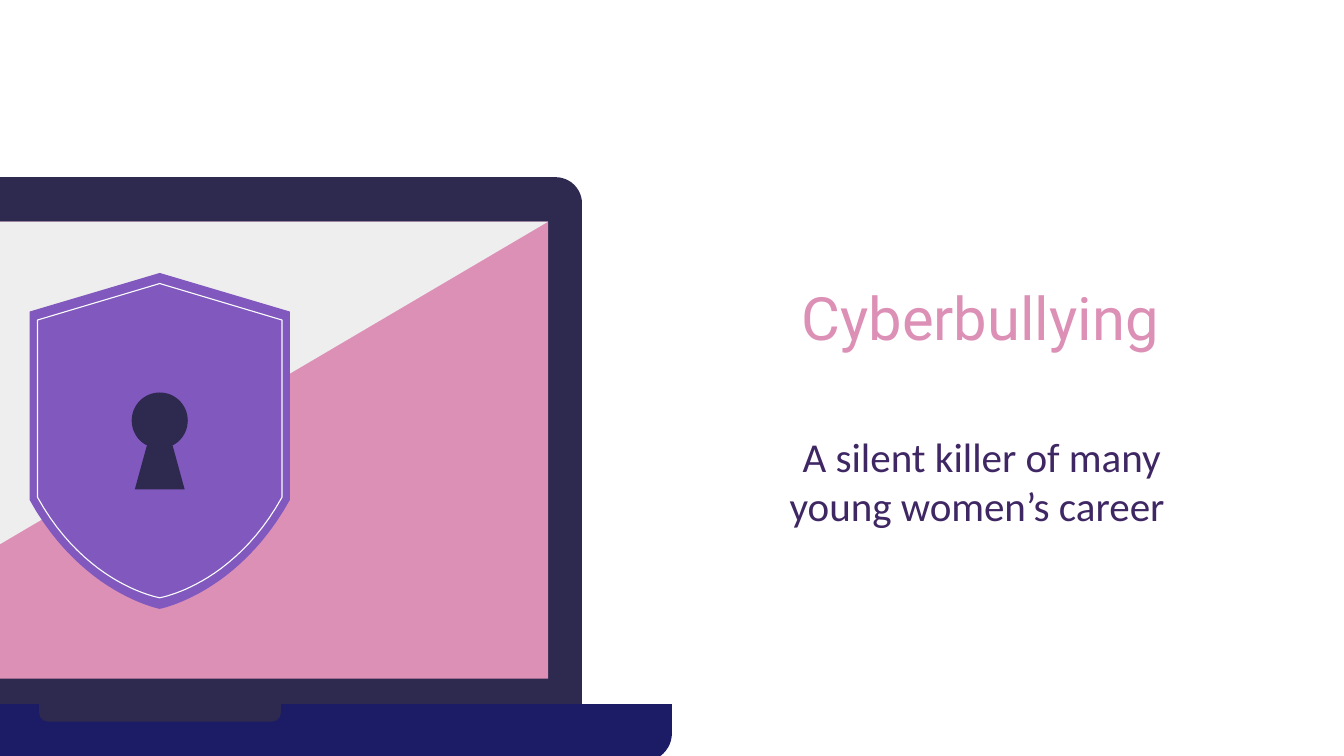
from math import cos, radians, sin

from pptx import Presentation
from pptx.dml.color import RGBColor
from pptx.enum.shapes import MSO_SHAPE
from pptx.enum.text import MSO_ANCHOR, PP_ALIGN
from pptx.util import Cm, Pt

COLORS = {
    "pink": "DD90B6",
    "plum": "3F2764",
    "dark": "2E294E",
    "navy": "1C1C66",
    "light": "EEEEEE",
    "violet": "8058BE",
    "outline": "FCFCFC",
}

TEXTS = [
    ("Cyberbullying", (11.43, 4.95, 14.2, 1.96), MSO_ANCHOR.BOTTOM, "Roboto", 32, "pink"),
    ("A silent killer of many young women’s career ", (14.02, 7.9, 9.07, 3.58),
     MSO_ANCHOR.TOP, "Calibri", 22, "plum"),
]

LID = (-4.95, 3.35, 15.95, 9.96)
SCREEN = (-4.32, 4.19, 14.68, 8.64)
BASE = (-6.65, 13.31, 19.35, 1.09)
NOTCH = (0.74, 13.31, 4.57, 0.33)
LAPTOP = [
    (MSO_SHAPE.ROUND_2_SAME_RECTANGLE, LID, (0.05, 0), "dark"),
    (MSO_SHAPE.RECTANGLE, SCREEN, (), "pink"),
    (MSO_SHAPE.ROUND_2_SAME_RECTANGLE, BASE, (0, 0.5), "navy"),
    (MSO_SHAPE.ROUND_2_SAME_RECTANGLE, NOTCH, (0, 0.5), "dark"),
]

AXIS = 3.02
SHIELD = dict(half=2.46, top=5.16, shoulder=5.89, waist=9.45, bend=11.23, tip=11.51)
RIM = dict(half=2.31, top=5.36, shoulder=6.05, waist=9.4, bend=11.07, tip=11.3)
KEYHOLE = dict(center=7.95, radius=0.53, neck=0.24, neck_y=8.41, foot=0.47, foot_y=9.25)


def color(name):
    return RGBColor.from_string(COLORS[name])


def paint(shape, fill=None, line=None):
    shape.shadow.inherit = False
    if fill:
        shape.fill.solid()
        shape.fill.fore_color.rgb = color(fill)
    else:
        shape.fill.background()
    if line:
        shape.line.color.rgb = color(line)
        shape.line.width = Pt(0.6)
    else:
        shape.line.fill.background()


def draw_outline(shapes, points, **style):
    start, *rest = [(Cm(x), Cm(y)) for x, y in points]
    builder = shapes.build_freeform(*start)
    builder.add_line_segments(rest, close=True)
    paint(builder.convert_to_shape(), **style)


def mirrored(right_side):
    left_side = [(-x, y) for x, y in reversed(right_side)]
    return [(AXIS + x, y) for x, y in right_side + left_side]


def shield_points(half, top, shoulder, waist, bend, tip, steps=24):
    side = [(0, top), (half, shoulder)]
    for step in range(steps + 1):
        t = step / steps
        u = 1 - t
        side.append((half * (u**3 + 3 * u**2 * t * 0.6),
                     waist * u**3 + 3 * bend * u**2 * t + tip * (3 * u * t**2 + t**3)))
    return mirrored(side)


def keyhole_points(center, radius, neck, neck_y, foot, foot_y):
    arc = [(radius * cos(radians(a)), center + radius * sin(radians(a)))
           for a in range(-90, 61, 5)]
    return mirrored(arc + [(neck, neck_y), (foot, foot_y)])


def add_text(slide, words, place, anchor, font, size, ink):
    frame = slide.shapes.add_textbox(*map(Cm, place)).text_frame
    frame.word_wrap = True
    frame.vertical_anchor = anchor
    frame.margin_left = frame.margin_right = Cm(0.25)
    frame.margin_top = frame.margin_bottom = Cm(0.25)
    paragraph = frame.paragraphs[0]
    paragraph.text = words
    paragraph.alignment = PP_ALIGN.CENTER
    paragraph.font.name = font
    paragraph.font.size = Pt(size)
    paragraph.font.color.rgb = color(ink)


def draw_laptop(shapes):
    for kind, place, corners, fill in LAPTOP:
        part = shapes.add_shape(kind, *map(Cm, place))
        for index, corner in enumerate(corners):
            part.adjustments[index] = corner
        paint(part, fill)
    left, top, width, height = SCREEN
    glare = [(left, top), (left, top + height), (left + width, top)]
    draw_outline(shapes, glare, fill="light")


def main():
    deck = Presentation()
    deck.slide_width, deck.slide_height = Cm(25.4), Cm(14.29)
    slide = deck.slides.add_slide(deck.slide_layouts[6])
    for text in TEXTS:
        add_text(slide, *text)
    drawing = slide.shapes.add_group_shape().shapes
    draw_laptop(drawing)
    draw_outline(drawing, shield_points(**SHIELD), fill="violet")
    draw_outline(drawing, shield_points(**RIM), line="outline")
    draw_outline(drawing, keyhole_points(**KEYHOLE), fill="dark")
    deck.save("out.pptx")


if __name__ == "__main__":
    main()
